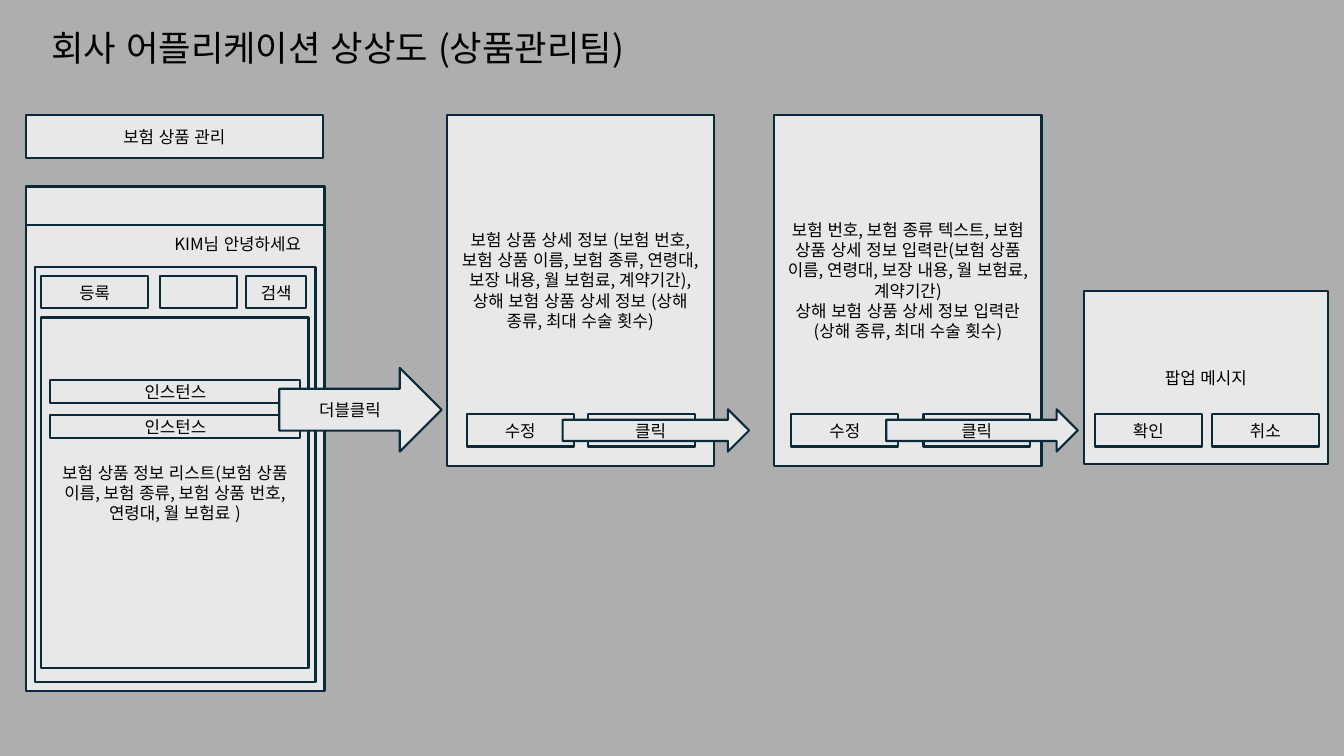
from dataclasses import dataclass

from lxml.etree import SubElement
from pptx import Presentation
from pptx.dml.color import RGBColor
from pptx.enum.lang import MSO_LANGUAGE_ID
from pptx.enum.shapes import MSO_SHAPE
from pptx.enum.text import MSO_ANCHOR, MSO_AUTO_SIZE, PP_ALIGN
from pptx.oxml.ns import qn
from pptx.util import Inches, Pt


@dataclass(frozen=True)
class Theme:
    background: RGBColor = RGBColor(0xAE, 0xAE, 0xAE)
    fill: RGBColor = RGBColor(0xE8, 0xE8, 0xE8)
    line: RGBColor = RGBColor(0x09, 0x2A, 0x39)
    text: RGBColor = RGBColor(0, 0, 0)
    font: str = "Noto Sans CJK KR"
    title_size: float = 25.2
    label_size: float = 12
    line_width: float = 1.5


class Wireframe:
    button_size = (1.06, 0.32)
    panel_size = (2.65, 3.48)

    def __init__(self, slide, theme):
        self.slide = slide
        self.theme = theme
        slide.background.fill.solid()
        slide.background.fill.fore_color.rgb = theme.background

    def add_run(self, paragraph, text, size):
        run = paragraph.add_run()
        run.text = text
        font = run.font
        font.size = Pt(size)
        font.language_id = MSO_LANGUAGE_ID.KOREAN
        font.color.rgb = self.theme.text
        font.name = self.theme.font
        # Hangul takes its typeface from the East Asian font
        SubElement(run._r.get_or_add_rPr(), qn("a:ea"), typeface=self.theme.font)

    def title(self, text, left, top, width, height):
        shape = self.slide.shapes.title
        shape.left, shape.top = Inches(left), Inches(top)
        shape.width, shape.height = Inches(width), Inches(height)
        frame = shape.text_frame
        frame.auto_size = MSO_AUTO_SIZE.NONE
        frame.vertical_anchor = MSO_ANCHOR.BOTTOM
        paragraph = frame.paragraphs[0]
        paragraph.alignment = PP_ALIGN.CENTER
        paragraph.line_spacing = 0.9
        self.add_run(paragraph, text, self.theme.title_size)

    def label(self, text, left, top, width, height):
        box = self.slide.shapes.add_textbox(
            Inches(left), Inches(top), Inches(width), Inches(height))
        box.text_frame.word_wrap = True
        self.add_run(box.text_frame.paragraphs[0], text, self.theme.label_size)

    def box(self, left, top, width, height, *lines, kind=MSO_SHAPE.RECTANGLE):
        shape = self.slide.shapes.add_shape(
            kind, Inches(left), Inches(top), Inches(width), Inches(height))
        shape.shadow.inherit = False
        shape.fill.solid()
        shape.fill.fore_color.rgb = self.theme.fill
        shape.line.color.rgb = self.theme.line
        shape.line.width = Pt(self.theme.line_width)
        frame = shape.text_frame
        frame.word_wrap = True
        frame.vertical_anchor = MSO_ANCHOR.MIDDLE
        for index, line in enumerate(lines):
            paragraph = frame.add_paragraph() if index else frame.paragraphs[0]
            paragraph.alignment = PP_ALIGN.CENTER
            self.add_run(paragraph, line, self.theme.label_size)
        return shape

    def button(self, left, top, *lines):
        self.box(left, top, *self.button_size, *lines)

    def panel(self, left, top, *lines):
        return self.box(left, top, *self.panel_size, *lines)

    def detail_panel(self, left, *lines):
        # The deeper bottom margin lifts the text above the buttons
        shape = self.panel(left, 1.14, *lines)
        shape.text_frame.margin_bottom = Inches(0.25)

    def arrow(self, text, left, top, width, height):
        self.box(left, top, width, height, text, kind=MSO_SHAPE.RIGHT_ARROW)


def main():
    presentation = Presentation()
    presentation.slide_width = Inches(13.33)
    presentation.slide_height = Inches(7.5)
    slide = presentation.slides.add_slide(presentation.slide_layouts[0])
    subtitle = slide.placeholders[1].element
    subtitle.getparent().remove(subtitle)
    wireframe = Wireframe(slide, Theme())
    button_top = 4.11

    # Heading and screen name
    wireframe.title("회사 어플리케이션 상상도 (상품관리팀)", 0.14, 0.13, 6.42, 0.61)
    wireframe.box(0.26, 1.14, 2.94, 0.43, "보험 상품 관리")

    # Application window with its title bar and greeting
    wireframe.box(0.26, 1.85, 2.96, 5.01)
    wireframe.box(0.26, 1.85, 2.96, 0.38)
    wireframe.box(0.35, 2.65, 2.78, 4.12)
    wireframe.label("KIM님 안녕하세요", 1.63, 2.27, 1.61, 0.3)

    # Product list with register button, search field and rows
    wireframe.panel(0.41, 3.15, "보험 상품 정보 리스트(보험 상품 이름, 보험 종류, "
                    "보험 상품 번호, 연령대, 월 보험료 )")
    wireframe.button(0.41, 2.74, "등록")
    wireframe.box(1.59, 2.74, 0.76, 0.32)
    wireframe.box(2.44, 2.74, 0.6, 0.32, "검색")
    for row in range(2):
        wireframe.box(0.5, 3.77 + 0.35 * row, 2.48, 0.23, "인스턴스")
    wireframe.arrow("더블클릭", 2.77, 3.65, 1.61, 0.83)

    # Product details
    wireframe.detail_panel(
        4.43,
        "보험 상품 상세 정보 (보험 번호, 보험 상품 이름, 보험 종류, "
        "연령대, 보장 내용, 월 보험료, 계약기간),",
        "상해 보험 상품 상세 정보 (상해 종류, 최대 수술 횟수)")
    wireframe.button(4.63, button_top, "수정")
    wireframe.button(5.83, button_top)
    wireframe.arrow("클릭", 5.58, 4.06, 1.85, 0.42)

    # Product editing form
    wireframe.detail_panel(
        7.68,
        "보험 번호, 보험 종류 텍스트, 보험 상품 상세 정보 입력란(보험 상품 이름, "
        "연령대, 보장 내용, 월 보험료, 계약기간)",
        "상해 보험 상품 상세 정보 입력란 (상해 종류, 최대 수술 횟수)")
    wireframe.button(7.85, button_top, "수정")
    wireframe.button(9.16, button_top)

    # Confirmation popup
    wireframe.box(10.75, 2.89, 2.42, 1.71, "팝업 메시지")
    wireframe.arrow("클릭", 8.79, 4.06, 1.9, 0.42)
    wireframe.button(10.86, button_top, "확인")
    wireframe.button(12.02, button_top, "취소")

    presentation.save("out.pptx")


if __name__ == "__main__":
    main()
